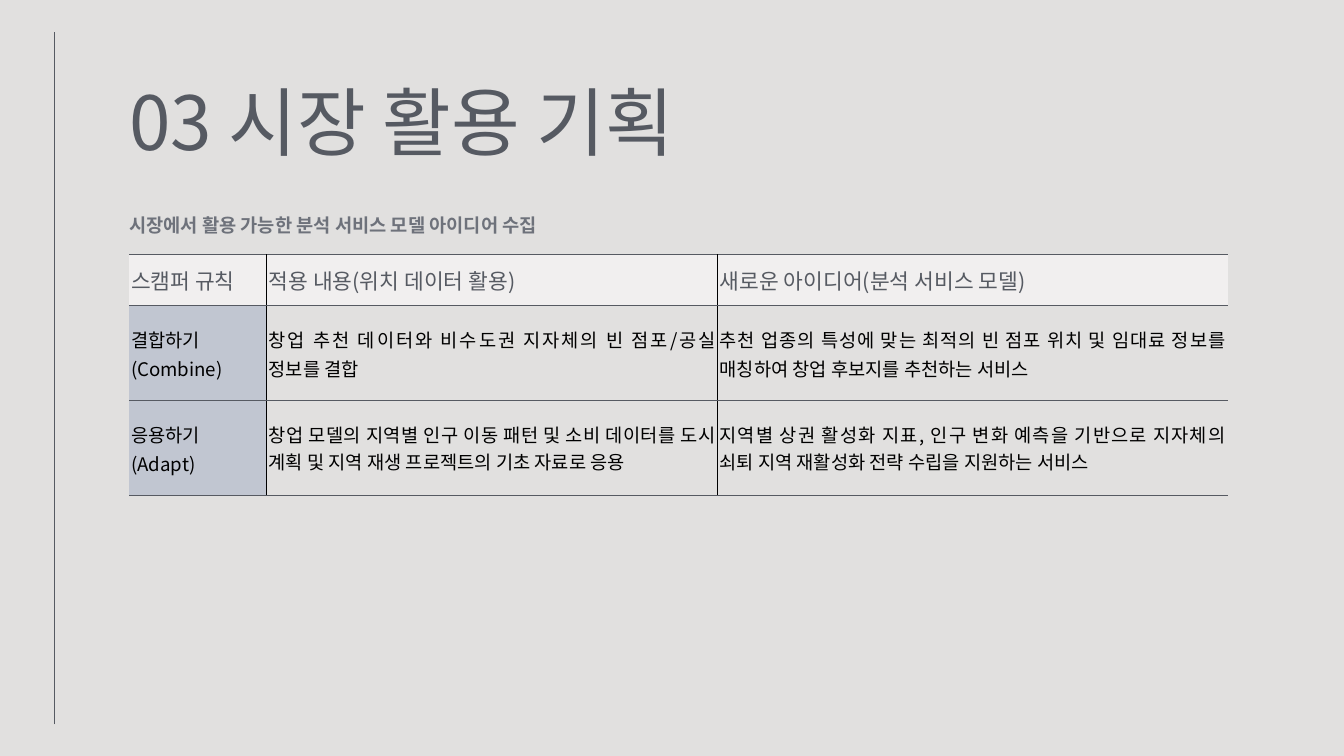
from lxml.etree import SubElement
from pptx import Presentation
from pptx.dml.color import RGBColor as RGB
from pptx.enum.shapes import MSO_CONNECTOR as CONNECTOR
from pptx.enum.text import MSO_ANCHOR as ANCHOR, MSO_AUTO_SIZE as AUTO, PP_ALIGN as ALIGN
from pptx.oxml import parse_xml
from pptx.oxml.ns import nsdecls, qn
from pptx.util import Inches, Pt

# Content
TITLE = "03 시장 활용 기획"
SUBTITLE = "시장에서 활용 가능한 분석 서비스 모델 아이디어 수집"
HEADER = ["스캠퍼 규칙", "적용 내용(위치 데이터 활용)", "새로운 아이디어(분석 서비스 모델)"]
RULES = [
    ["결합하기\n(Combine)",
     "창업 추천 데이터와 비수도권 지자체의 빈 점포/공실 정보를 결합",
     "추천 업종의 특성에 맞는 최적의 빈 점포 위치 및 임대료 정보를 매칭하여 창업 후보지를 추천하는 서비스"],
    ["응용하기\n(Adapt)",
     "창업 모델의 지역별 인구 이동 패턴 및 소비 데이터를 도시 계획 및 지역 재생 프로젝트의 기초 자료로 응용",
     "지역별 상권 활성화 지표, 인구 변화 예측을 기반으로 지자체의 쇠퇴 지역 재활성화 전략 수립을 지원하는 서비스"],
]

# Look
FONT = "Noto Sans CJK KR"
COLORS = {"page": "E1E0DF", "slate": "565A62", "gray": "6E727B", "black": "000000",
          "header": "F1EFEF", "rule": "C1C6D1"}
FORMATS = {
    "title": {"size": 80, "color": "slate", "leading": 88, "align": ALIGN.LEFT},
    "subtitle": {"size": 20, "color": "gray", "leading": 24.7, "bold": True},
    "header": {"size": 23, "color": "slate", "leading": 32.2},
    "body": {"size": 20, "color": "black", "leading": 30.8},
    "loose": {"size": 20, "color": "black"},
}

# Layout in inches
WIDTH, HEIGHT = 20, 11.25
LEFT = 1.92
COLUMNS = [2.05, 6.71, 7.59]
ROWS = [0.76, 1.41, 1.41]
TABLE_TOP = 3.79
CELL_MARGIN = 0.03
SIDES = ("left", "right", "top", "bottom")


def rgb(name):
    return RGB.from_string(COLORS[name])


def write(frame, text, style, margin=0):
    """Fill a text frame, one paragraph per line of text."""
    look = FORMATS[style]
    frame.text = text
    for paragraph in frame.paragraphs:
        paragraph.alignment = look.get("align", ALIGN.JUSTIFY)
        if "leading" in look:
            paragraph.line_spacing = Pt(look["leading"])
        for run in paragraph.runs:
            values = {"name": FONT, "size": Pt(look["size"]), "bold": look.get("bold", False)}
            for key, value in values.items():
                setattr(run.font, key, value)
            run.font.color.rgb = rgb(look["color"])
            SubElement(run.font._element, qn("a:ea")).set("typeface", FONT)


def add_text(slide, text, style, box):
    frame = slide.shapes.add_textbox(*map(Inches, box)).text_frame
    write(frame, text, style)
    values = {f"margin_{side}": 0 for side in SIDES}
    values |= {"word_wrap": True, "auto_size": AUTO.SHAPE_TO_FIT_TEXT}
    for key, value in values.items():
        setattr(frame, key, value)


def set_borders(cell, column):
    """Slate rules across, thin black rules between columns, open outer sides."""
    inner, across = ("black", 0.75), ("slate", 1.5)
    borders = {"lnL": inner if column else None,
               "lnR": inner if column < len(COLUMNS) - 1 else None,
               "lnT": across, "lnB": across}
    properties = cell._tc.get_or_add_tcPr()
    for place, (tag, border) in enumerate(borders.items()):
        if border:
            color, width = border
            line = (f'<a:{tag} {nsdecls("a")} w="{Pt(width)}"><a:solidFill>'
                    f'<a:srgbClr val="{COLORS[color]}"/></a:solidFill></a:{tag}>')
        else:
            line = f'<a:{tag} {nsdecls("a")} w="0"><a:noFill/></a:{tag}>'
        properties.insert(place, parse_xml(line))


def add_ideas(slide):
    grid = [HEADER, *RULES]
    size = (LEFT, TABLE_TOP, sum(COLUMNS), sum(ROWS))
    table = slide.shapes.add_table(len(ROWS), len(COLUMNS), *map(Inches, size)).table
    table.first_row = table.horz_banding = False
    for column, width in zip(table.columns, COLUMNS):
        column.width = Inches(width)
    for row, height in zip(table.rows, ROWS):
        row.height = Inches(height)

    for r, texts in enumerate(grid):
        for c, text in enumerate(texts):
            cell = table.cell(r, c)
            last_row_text = r == len(grid) - 1 and c > 0
            style = "header" if r == 0 else "loose" if last_row_text else "body"
            write(cell.text_frame, text, style)
            cell.vertical_anchor = ANCHOR.MIDDLE
            for side in SIDES:
                setattr(cell, f"margin_{side}", Inches(CELL_MARGIN))
            if r == 0 or c == 0:
                cell.fill.solid()
                cell.fill.fore_color.rgb = rgb("header" if r == 0 else "rule")
            else:
                cell.fill.background()
            set_borders(cell, c)


def main():
    deck = Presentation()
    deck.slide_width, deck.slide_height = Inches(WIDTH), Inches(HEIGHT)
    slide = deck.slides.add_slide(deck.slide_layouts[6])
    slide.background.fill.solid()
    slide.background.fill.fore_color.rgb = rgb("page")

    # Margin line
    ends = (0.81, HEIGHT - 0.47, 0.81, 0.47)
    margin_line = slide.shapes.add_connector(CONNECTOR.STRAIGHT, *map(Inches, ends))
    margin_line.line.color.rgb = rgb("slate")
    margin_line.line.width = Pt(0.75)
    SubElement(margin_line._element.spPr, qn("a:effectLst"))

    # Headings and table
    add_text(slide, TITLE, "title", (LEFT, 1.24, 10.66, 1.23))
    add_text(slide, SUBTITLE, "subtitle", (LEFT, 3.17, 8.08, 0.34))
    add_ideas(slide)
    deck.save("out.pptx")


if __name__ == "__main__":
    main()
